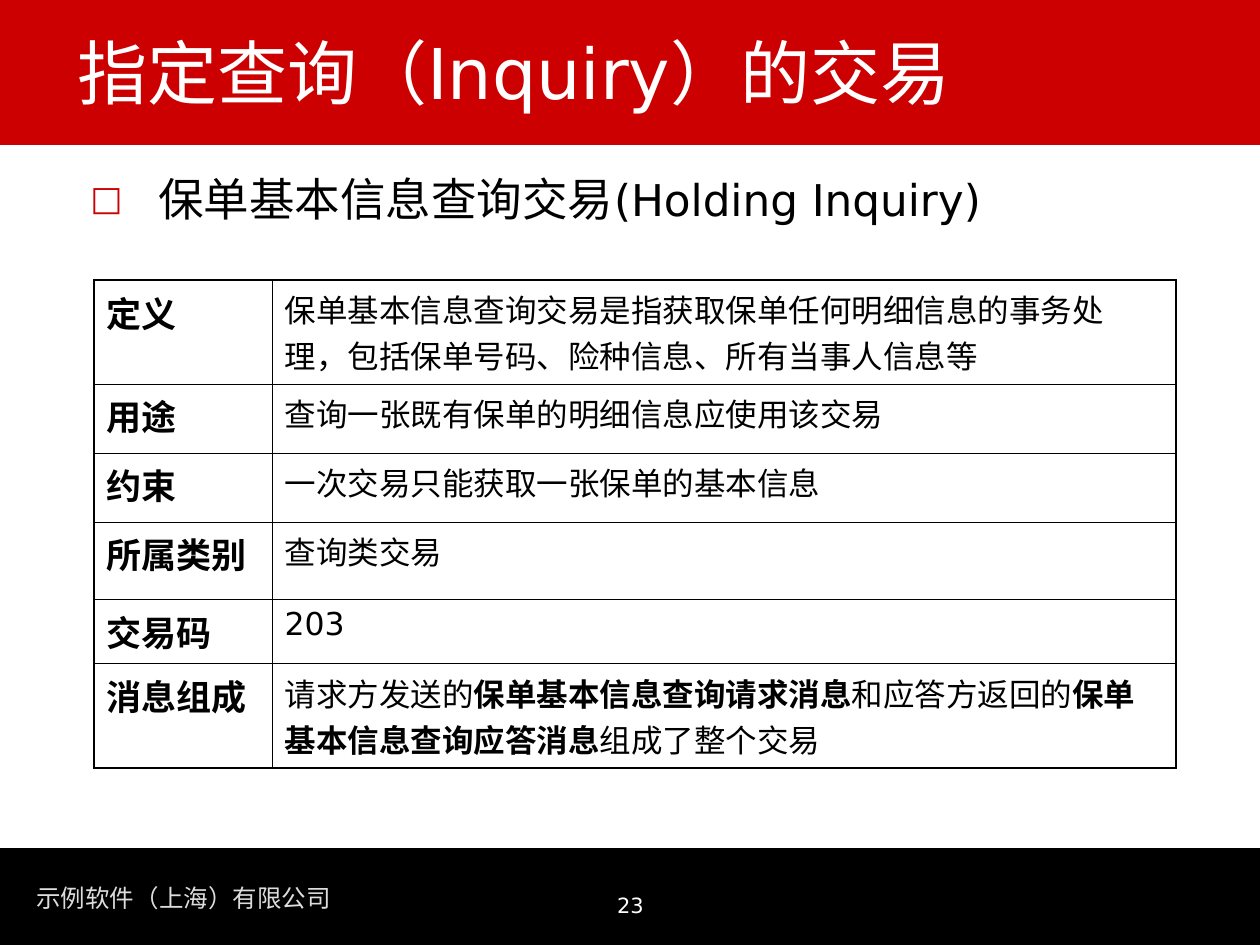
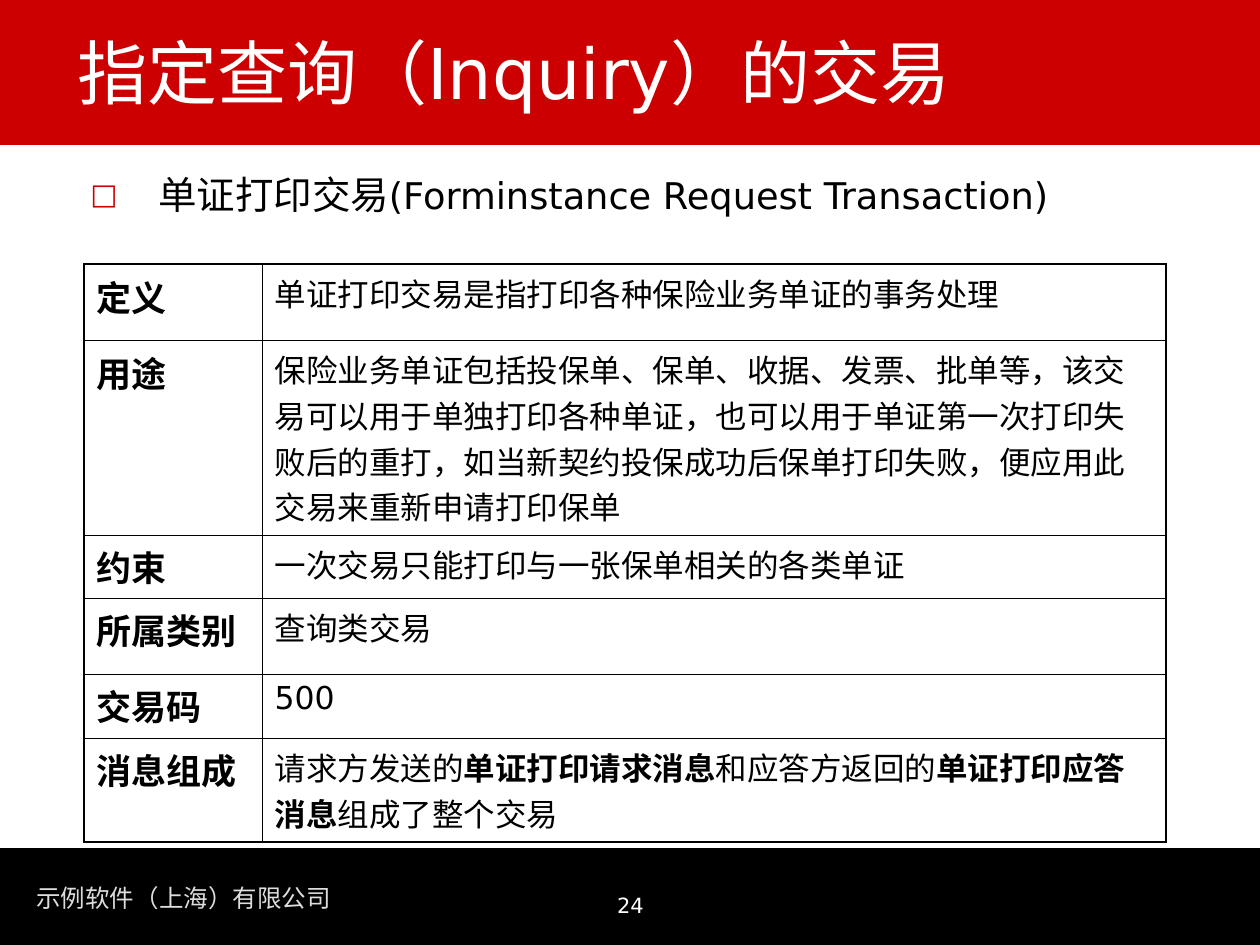
from collections import namedtuple
from dataclasses import dataclass

import pptx
import pptx.util
import pptx.dml.color
import pptx.enum.shapes
import pptx.enum.text
import pptx.oxml.ns
from lxml import etree

PX_PER_INCH = 126
Box = namedtuple("Box", "left top width height")


@dataclass(frozen=True)
class Theme:
    font: str = "DejaVu Sans"
    red: str = "CC0000"
    black: str = "000000"
    white: str = "FFFFFF"
    grey: str = "DDDDDD"
    title_size: int = 40
    label_size: int = 20
    detail_size: int = 18
    company_size: int = 14
    page_size: int = 12
    outer_border: float = 1.08
    inner_border: float = 0.45


THEME = Theme()
SLIDE = Box(0, 0, 1260, 945)
HEADER = Box(0, 0, 1260, 145)
FOOTER = Box(0, 849, 1260, 96)
SUBJECT = Box(78, 165, 1097, 84)
COLUMN_WIDTHS = (178, 904)
TITLE = "指定查询（Inquiry）的交易"
COMPANY = "示例软件（上海）有限公司"
LABELS = ("定义", "用途", "约束", "所属类别", "交易码", "消息组成")


def px(length):
    return pptx.util.Emu(round(length * 914400 / PX_PER_INCH))


def emu_box(box):
    return [px(length) for length in box]


def rgb(colour):
    return pptx.dml.color.RGBColor.from_string(colour)


def set_font(font, size, colour):
    font.name = THEME.font
    font.size = pptx.util.Pt(size)
    font.color.rgb = rgb(colour)


def add_xml(parent, tag, **attributes):
    return etree.SubElement(parent, pptx.oxml.ns.qn(tag), attributes)


def add_text(slide, box, text, size, colour, wrap=True):
    frame = slide.shapes.add_textbox(*emu_box(box)).text_frame
    frame.word_wrap = wrap
    paragraph = frame.paragraphs[0]
    paragraph.text = text
    set_font(paragraph.font, size, colour)
    return frame


def add_band(slide, box, colour):
    band = slide.shapes.add_shape(
        pptx.enum.shapes.MSO_SHAPE.RECTANGLE, *emu_box(box))
    band.shadow.inherit = False
    band.fill.solid()
    band.fill.fore_color.rgb = rgb(colour)
    band.line.fill.background()
    return band


def draw_header(slide, box):
    add_band(slide, box, THEME.red)
    title = slide.shapes.title
    title.element.getparent().append(title.element)
    title.left, title.top, title.width, title.height = emu_box(
        Box(box.left + 65, box.top + 35, 1103, 85))
    frame = title.text_frame
    frame.text = TITLE
    frame.word_wrap = True
    frame.auto_size = pptx.enum.text.MSO_AUTO_SIZE.NONE
    frame.vertical_anchor = pptx.enum.text.MSO_ANCHOR.BOTTOM
    paragraph = frame.paragraphs[0]
    paragraph.alignment = pptx.enum.text.PP_ALIGN.LEFT
    set_font(paragraph.font, THEME.title_size, THEME.white)


def draw_footer(slide, box, page):
    band = add_band(slide, box, THEME.black)
    band.line.color.rgb = rgb(THEME.black)
    band.line.width = pptx.util.Pt(0.75)
    add_text(slide, Box(box.left + 24, box.top + 28, 320, 43), COMPANY,
             THEME.company_size, THEME.grey, wrap=False)
    number = add_text(slide, Box(box.left + 431, box.top + 12, 399, 65),
                      str(page), THEME.page_size, THEME.white)
    number.margin_top = px(32)
    number.paragraphs[0].alignment = pptx.enum.text.PP_ALIGN.CENTER


def draw_subject(slide, box, name, english, size):
    frame = slide.shapes.add_textbox(*emu_box(box)).text_frame
    frame.word_wrap = True
    paragraph = frame.paragraphs[0]
    indent = px(68)
    properties = paragraph._p.get_or_add_pPr()
    properties.set("marL", str(indent))
    properties.set("indent", str(-indent))
    bullet_colour = add_xml(properties, "a:buClr")
    add_xml(bullet_colour, "a:srgbClr", val=THEME.red)
    add_xml(properties, "a:buSzPct", val="75000")
    add_xml(properties, "a:buFont", typeface=THEME.font)
    add_xml(properties, "a:buChar", char="□")
    for text, run_size in ((name, size), (english, size - 1)):
        run = paragraph.add_run()
        run.text = text
        set_font(run.font, run_size, THEME.black)


def set_borders(cell, outer_sides):
    properties = cell._tc.get_or_add_tcPr()
    for side in "LRTB":
        width = THEME.outer_border if side in outer_sides else THEME.inner_border
        line = add_xml(properties, f"a:ln{side}", w=str(pptx.util.Pt(width)))
        fill = add_xml(line, "a:solidFill")
        add_xml(fill, "a:srgbClr", val=THEME.black)


def fill_cell(cell, parts, size, bold_label=False):
    paragraph = cell.text_frame.paragraphs[0]
    paragraph._p.get_or_add_pPr().set("hangingPunct", "0")
    set_font(paragraph.font, size, THEME.black)
    paragraph.font.bold = bold_label
    for index, text in enumerate(parts):
        run = paragraph.add_run()
        run.text = text
        if len(parts) > 1:
            run.font.bold = index % 2 == 1


def draw_definition_table(slide, box, details, row_heights):
    table = slide.shapes.add_table(
        len(LABELS), len(COLUMN_WIDTHS), *emu_box(box)).table
    table.first_row = False
    table.horz_banding = False
    for column, width in zip(table.columns, COLUMN_WIDTHS):
        column.width = px(width)
    last = len(LABELS) - 1
    for index, (label, detail) in enumerate(zip(LABELS, details)):
        table.rows[index].height = px(row_heights[index])
        edge = {0: "T", last: "B"}.get(index, "")
        label_cell, detail_cell = table.rows[index].cells
        fill_cell(label_cell, [label], THEME.label_size, bold_label=True)
        fill_cell(detail_cell, detail, THEME.detail_size)
        for cell, side in ((label_cell, "L"), (detail_cell, "R")):
            set_borders(cell, side + edge)
            cell.fill.background()


def message_parts(name):
    return ["请求方发送的", f"{name}请求消息", "和应答方返回的",
            f"{name}应答消息", "组成了整个交易"]


def draw_transaction(presentation, page, name, english, subject_size,
                     corner, row_heights, details):
    slide = presentation.slides.add_slide(presentation.slide_layouts[5])
    draw_header(slide, HEADER)
    draw_footer(slide, FOOTER, page)
    draw_subject(slide, SUBJECT, f"{name}交易", english, subject_size)
    rows = [[detail] for detail in details] + [message_parts(name)]
    table_box = Box(*corner, sum(COLUMN_WIDTHS), sum(row_heights))
    draw_definition_table(slide, table_box, rows, row_heights)


def main():
    presentation = pptx.Presentation()
    presentation.slide_width = px(SLIDE.width)
    presentation.slide_height = px(SLIDE.height)
    draw_transaction(
        presentation, 23, "保单基本信息查询", "(Holding Inquiry)", 26,
        (94, 280), (104, 69, 69, 78, 64, 104),
        ("保单基本信息查询交易是指获取保单任何明细信息的事务处理，"
         "包括保单号码、险种信息、所有当事人信息等",
         "查询一张既有保单的明细信息应使用该交易",
         "一次交易只能获取一张保单的基本信息",
         "查询类交易",
         "203"))
    draw_transaction(
        presentation, 24, "单证打印", "(Forminstance Request Transaction)", 22,
        (84, 264), (76, 195, 63, 76, 64, 104),
        ("单证打印交易是指打印各种保险业务单证的事务处理",
         "保险业务单证包括投保单、保单、收据、发票、批单等，"
         "该交易可以用于单独打印各种单证，也可以用于单证第一次打印失败后的重打，"
         "如当新契约投保成功后保单打印失败，便应用此交易来重新申请打印保单",
         "一次交易只能打印与一张保单相关的各类单证",
         "查询类交易",
         "500"))
    presentation.save("out.pptx")


if __name__ == "__main__":
    main()
